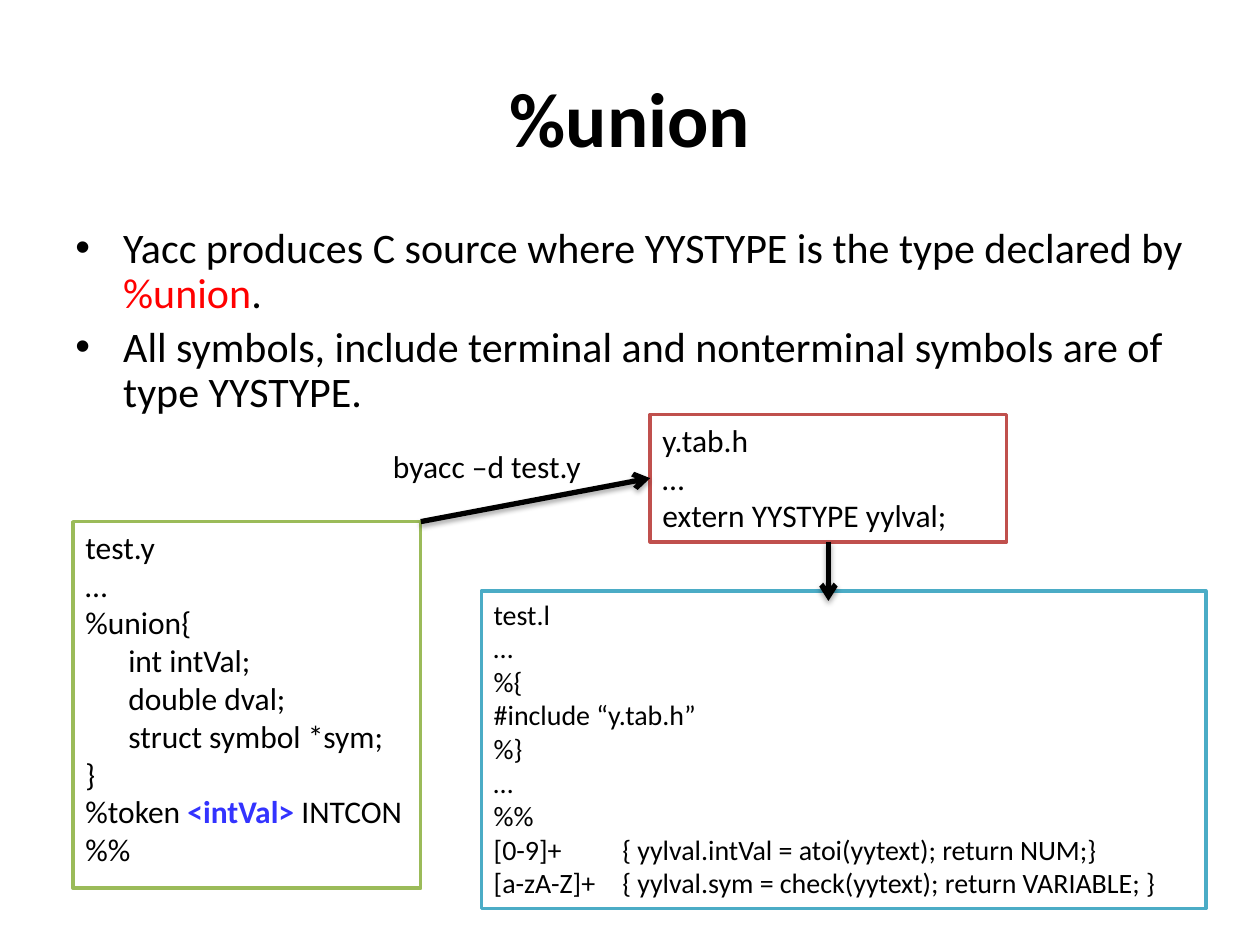
from collections import namedtuple

from lxml.etree import SubElement
from pptx import Presentation
from pptx.dml.color import RGBColor
from pptx.enum.shapes import MSO_CONNECTOR as Connector, MSO_SHAPE as Shape
from pptx.enum.text import MSO_ANCHOR as Anchor, PP_ALIGN as Align
from pptx.oxml.ns import qn
from pptx.util import Inches, Pt

COLORS = {
    "text": "000000", "paper": "FFFFFF", "keyword": "FF0000", "tag": "3333FF",
    "grammar": "9BBB59", "header": "C0504D", "lexer": "4BACC6",
}
FONT = "Calibri"
COLUMNS, ROWS = 100, 75
CELL = Inches(0.1)
CODE_INDENT = 3.4
ACTION_TAB = 10.2

Box = namedtuple("Box", "left top width height")


def cells(*counts):
    return [int(count * CELL) for count in counts]


def color(name):
    return RGBColor.from_string(COLORS[name])


def style(run, size, tone="text", bold=False):
    run.font.name = FONT
    run.font.size = Pt(size)
    run.font.bold = bold
    run.font.color.rgb = color(tone)


def write(frame, lines, size):
    frame.word_wrap = True
    for number, pieces in enumerate(lines):
        paragraph = frame.paragraphs[0] if number == 0 else frame.add_paragraph()
        paragraph.alignment = Align.LEFT
        for words, *look in pieces:
            run = paragraph.add_run()
            run.text = words
            style(run, size, *look)
    return frame.paragraphs


def add_title(slide, box, words):
    title = slide.shapes.title
    title.left, title.top, title.width, title.height = cells(*box)
    frame = title.text_frame
    frame.text = words
    frame.vertical_anchor = Anchor.MIDDLE
    frame.paragraphs[0].alignment = Align.CENTER
    style(frame.paragraphs[0].runs[0], 44, bold=True)


def add_points(slide, box, points):
    frame = slide.shapes.add_textbox(*cells(*box)).text_frame
    for paragraph in write(frame, points, 24):
        paragraph.line_spacing = 0.9
        paragraph.space_before = Pt(4.8)
        properties = paragraph._p.get_or_add_pPr()
        properties.set("marL", str(Inches(0.38)))
        properties.set("indent", str(-Inches(0.38)))
        SubElement(properties, qn("a:buFont"), typeface="Arial")
        SubElement(properties, qn("a:buChar"), char="•")


def add_code(slide, box, tone, lines, size, indented=()):
    panel = slide.shapes.add_shape(Shape.RECTANGLE, *cells(*box))
    panel.shadow.inherit = False
    panel.fill.solid()
    panel.fill.fore_color.rgb = color("paper")
    panel.line.color.rgb = color(tone)
    panel.line.width = Pt(2)
    panel.text_frame.vertical_anchor = Anchor.TOP
    for number, paragraph in enumerate(write(panel.text_frame, lines, size)):
        properties = paragraph._p.get_or_add_pPr()
        if number in indented:
            properties.set("marL", str(int(CODE_INDENT * CELL)))
        if "\t" in paragraph.text:
            tabs = SubElement(properties, qn("a:tabLst"))
            SubElement(tabs, qn("a:tab"), pos=str(int(ACTION_TAB * CELL)), algn="l")


def add_arrow(slide, start, end):
    arrow = slide.shapes.add_connector(Connector.STRAIGHT, *cells(*start, *end))
    arrow.line.color.rgb = color("text")
    arrow.line.width = Pt(3)
    SubElement(arrow.line._get_or_add_ln(), qn("a:tailEnd"), type="arrow")
    effects = SubElement(arrow._element.spPr, qn("a:effectLst"))
    shadow = SubElement(effects, qn("a:outerShdw"), blurRad=str(Pt(3.1)),
                        dist=str(Pt(1.8)), dir="5400000", rotWithShape="0")
    shade = SubElement(shadow, qn("a:srgbClr"), val=COLORS["text"])
    SubElement(shade, qn("a:alpha"), val="35000")


def add_command(slide, box, words):
    frame = slide.shapes.add_textbox(*cells(*box)).text_frame
    write(frame, [[(words,)]], 18)


def plain(*lines):
    return [[(line,)] for line in lines]


def build_union_slide(deck):
    slide = deck.slides.add_slide(deck.slide_layouts[5])
    add_title(slide, Box(5, 3, 90, 12.5), "%union")
    add_points(slide, Box(5, 17.5, 90, 49.5), [
        [("Yacc produces C source where YYSTYPE is the type declared by ",),
         ("%union", "keyword"), (".",)],
        [("All symbols, include terminal and nonterminal symbols are of type YYSTYPE.",)],
    ])

    grammar = Box(5.8, 41.4, 27.6, 29.1)
    header = Box(51.6, 32.9, 28.3, 10.1)
    lexer = Box(38.2, 46.9, 57.5, 25.2)
    add_code(slide, grammar, "grammar", [
        *plain("test.y", "…", "%union{", "int intVal;", "double dval;",
               "struct symbol *sym;", "}"),
        [("%token ",), ("<intVal>", "tag", True), (" INTCON",)],
        *plain("%%"),
    ], 18, indented=(3, 4, 5))
    add_code(slide, header, "header",
             plain("y.tab.h", "…", "extern YYSTYPE yylval;"), 18)
    add_code(slide, lexer, "lexer", plain(
        "test.l", "…", "%{", "#include “y.tab.h”", "%}", "…", "%%",
        "[0-9]+\t{ yylval.intVal = atoi(yytext); return NUM;}",
        "[a-zA-Z]+\t{ yylval.sym = check(yytext); return VARIABLE; }",
    ), 16)

    header_middle = header.left + header.width / 2
    add_arrow(slide, (grammar.left + grammar.width, grammar.top),
              (header.left, header.top + header.height / 2))
    add_arrow(slide, (header_middle, header.top + header.height),
              (header_middle, lexer.top + 0.8))
    add_command(slide, Box(30.2, 35, 17.5, 4), "byacc –d test.y")


deck = Presentation()
deck.slide_width, deck.slide_height = cells(COLUMNS, ROWS)
build_union_slide(deck)
deck.save("out.pptx")
